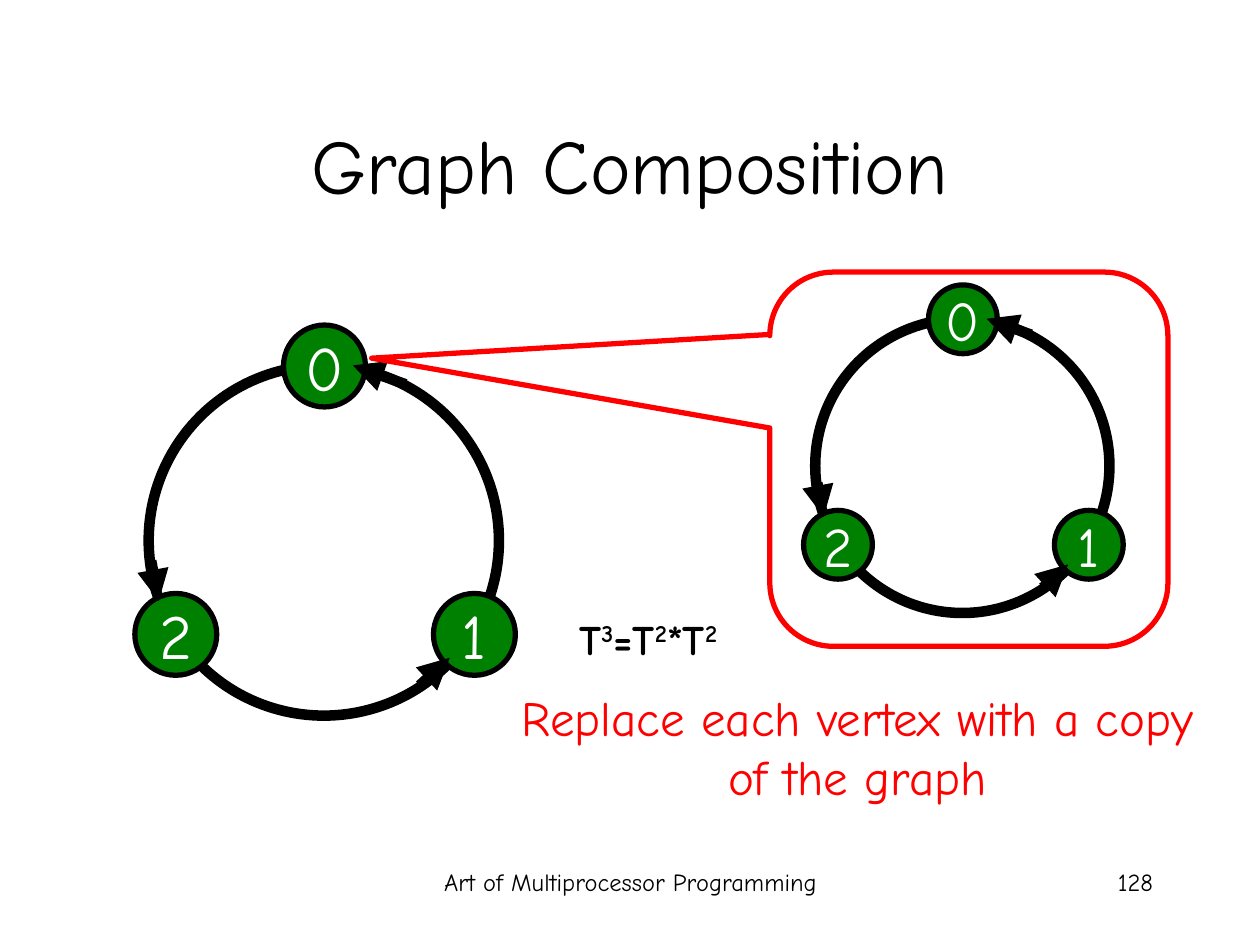
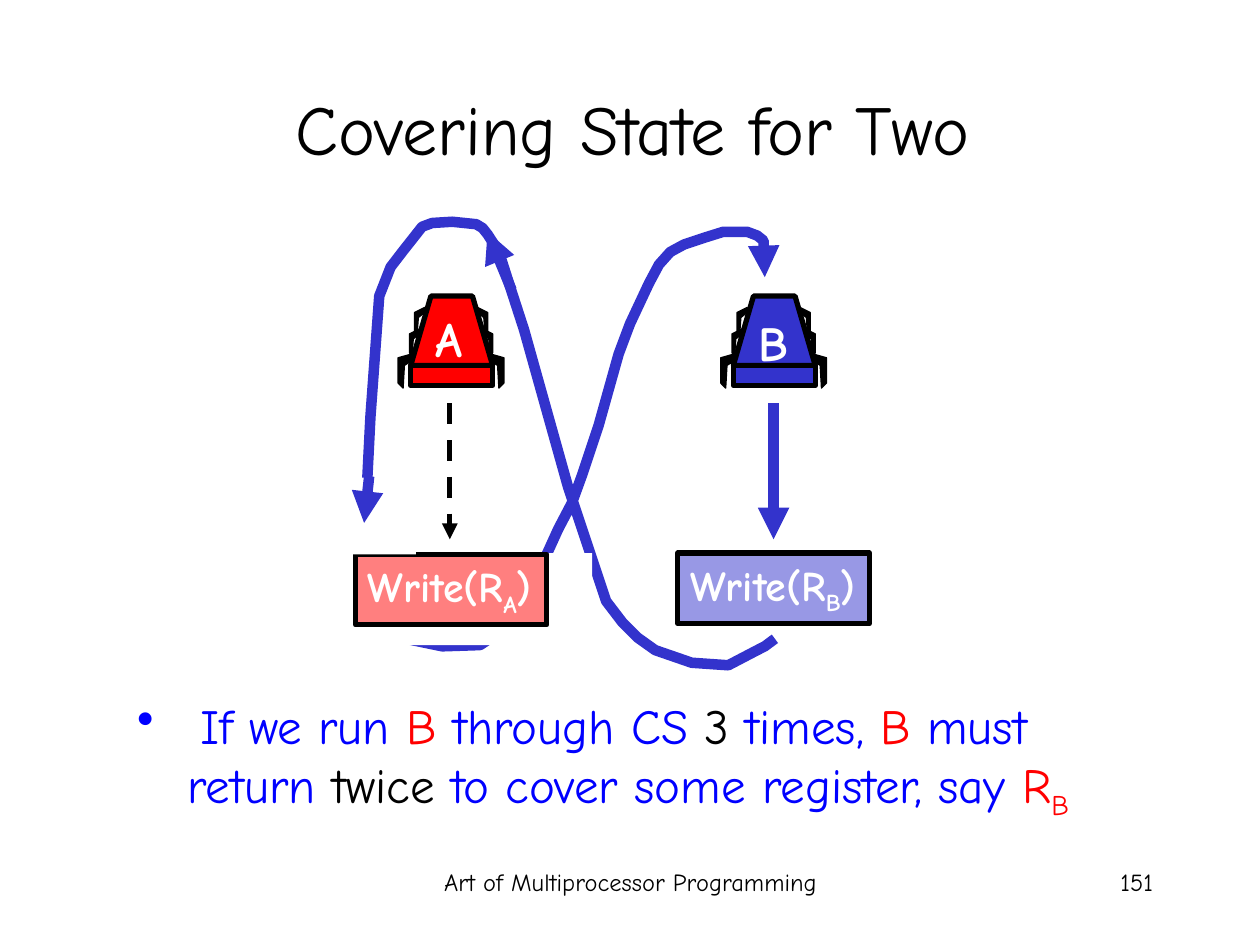
from dataclasses import dataclass

from pptx import Presentation
from pptx.dml.color import RGBColor
from pptx.enum.dml import MSO_LINE
from pptx.enum.shapes import MSO_CONNECTOR, MSO_SHAPE
from pptx.enum.text import MSO_ANCHOR, PP_ALIGN
from pptx.oxml.ns import qn
from pptx.util import Inches, Pt
from lxml.etree import SubElement


@dataclass(frozen=True)
class Theme:
    """Colours, font, type sizes and line widths of the deck."""
    font: str = "Comic Neue"
    black: str = "000000"
    white: str = "FFFFFF"
    red: str = "FF0000"
    blue: str = "0000FF"
    indigo: str = "3333CC"
    green: str = "008000"
    body: int = 28
    label: int = 24
    footer: int = 14
    hairline: float = 0.75
    outline: int = 3
    heavy: int = 6


THEME = Theme()
FOOTER = "Art of Multiprocessor Programming"

RING_NODES = [("0", 1.07, -0.32), ("1", 2.26, 1.81), ("2", -0.11, 1.81)]
RING_ARROWS = [(0.02, 1.55, 0.08, 1.87), (2.15, 2.54, 2.39, 2.32), (2.04, 0.15, 1.62, 0)]

SMALL_LEG = [(0, 0), (0.08, 0.04), (0.08, 0.19), (0.06, 0.22), (0.05, 0.08), (0, 0.04)]
LARGE_LEG = [(0, 0), (0.14, 0.04), (0.14, 0.24), (0.1, 0.28), (0.09, 0.1), (0.01, 0.05)]
LEGS = [(0.28, 0.45, LARGE_LEG), (0.25, 0.26, SMALL_LEG), (0.21, 0.09, SMALL_LEG)]

THREAD_B_ROUTE = [
    (6.15, 5.07), (6.07, 5.13), (6.01, 5.16), (5.78, 5.28), (5.49, 5.26), (5.2, 5.16),
    (5.06, 5.06), (4.94, 4.94), (4.81, 4.77), (4.51, 3.87), (4.16, 2.62), (4.04, 2.25),
    (3.96, 2), (3.87, 1.86), (3.83, 1.81), (3.78, 1.78), (3.59, 1.76), (3.43, 1.77),
    (3.35, 1.8), (3.2, 1.99), (3.1, 2.12), (3.01, 2.35), (2.94, 3.31), (2.9, 4.1),
    (2.91, 4.64), (3, 4.94), (3.22, 5.07), (3.51, 5.13), (3.81, 5.12), (3.99, 5),
    (4.23, 4.63), (4.28, 4.51), (4.33, 4.42), (4.43, 4.2), (4.54, 3.99), (4.62, 3.77),
    (4.75, 3.38), (4.91, 2.81), (5, 2.57), (5.15, 2.25), (5.23, 2.1), (5.32, 2),
    (5.43, 1.94), (5.58, 1.89), (5.74, 1.84), (5.93, 1.84), (6.01, 1.87), (6.06, 1.91),
    (6.07, 2.2),
]


def rgb(colour):
    """Turn a hex string into a colour."""
    return RGBColor.from_string(colour)


def box(left, top, width, height):
    """Return a place and size in slide units."""
    return [Inches(value) for value in (left, top, width, height)]


def style_line(line, colour, width, arrow=False):
    """Colour a line and optionally end it with an arrowhead."""
    line.color.rgb = rgb(colour)
    line.width = Pt(width)
    if arrow:
        SubElement(line._get_or_add_ln(), qn("a:tailEnd"), type="triangle")


def paint(shape, fill=None, line=None, width=THEME.outline, alpha=None):
    """Set the fill, outline and lack of shadow of a shape."""
    shape.shadow.inherit = False
    if fill:
        shape.fill.solid()
        shape.fill.fore_color.rgb = rgb(fill)
    else:
        shape.fill.background()
    if alpha:
        colour = shape.fill._xPr.find(f"{qn('a:solidFill')}/{qn('a:srgbClr')}")
        SubElement(colour, qn("a:alpha"), val=str(alpha * 1000))
    if line:
        style_line(shape.line, line, width)
    else:
        shape.line.fill.background()


def add_runs(paragraph, runs, size, bold=False):
    """Add (text, colour, baseline percent) runs to a paragraph."""
    for text, colour, baseline in runs:
        run = paragraph.add_run()
        run.text = text
        font = run.font
        font.name, font.size, font.bold = THEME.font, Pt(size), bold
        font.color.rgb = rgb(colour)
        if baseline:
            font._element.set("baseline", str(baseline * 1000))


def write(shape, runs, size, align=PP_ALIGN.CENTER, anchor=MSO_ANCHOR.TOP, bold=False, wrap=True):
    """Write one paragraph into a shape."""
    frame = shape.text_frame
    frame.word_wrap = wrap
    frame.vertical_anchor = anchor
    paragraph = frame.paragraphs[0]
    paragraph.alignment = align
    add_runs(paragraph, runs, size, bold)


def add_text(slide, place, runs, size, **options):
    """Add a text box holding one paragraph."""
    write(slide.shapes.add_textbox(*box(*place)), runs, size, **options)


def add_preset(slide, kind, place, **look):
    """Add a painted preset shape."""
    shape = slide.shapes.add_shape(kind, *box(*place))
    paint(shape, **look)
    return shape


def add_outline(slide, points, close=True, **look):
    """Add a freeform through points given in inches."""
    start, *rest = [(Inches(x), Inches(y)) for x, y in points]
    builder = slide.shapes.build_freeform(*start)
    builder.add_line_segments(rest, close=close)
    shape = builder.convert_to_shape()
    paint(shape, **look)
    return shape


def add_arrow(slide, ends, colour, width=THEME.heavy, dash=None):
    """Add a straight arrow between two points."""
    connector = slide.shapes.add_connector(MSO_CONNECTOR.STRAIGHT, *box(*ends))
    if dash:
        connector.line.dash_style = dash
    style_line(connector.line, colour, width, arrow=True)
    SubElement(connector._element.spPr, qn("a:effectLst"))


def add_frame(presentation, title, title_place, title_size, number):
    """Add a blank slide with title, footer and slide number."""
    slide = presentation.slides.add_slide(presentation.slide_layouts[6])
    add_text(slide, (3.42, 6.83, 3.17, 0.5), [(FOOTER, THEME.black, 0)], THEME.footer)
    add_text(slide, (7.17, 6.83, 2.08, 0.5), [(number, THEME.black, 0)], THEME.footer,
             align=PP_ALIGN.RIGHT)
    add_text(slide, (*title_place, 8.5, 1.25), [(title, THEME.black, 0)], title_size,
             anchor=MSO_ANCHOR.MIDDLE)
    return slide


def add_ring(slide, left, top, scale, size):
    """Add a cycle of three numbered vertices."""
    def at(x, y):
        return left + x * scale, top + y * scale

    diameter = 2.78 * scale
    add_preset(slide, MSO_SHAPE.OVAL, (left, top, diameter, diameter),
               line=THEME.black, width=THEME.heavy)
    for number, x, y in RING_NODES:
        node = add_preset(slide, MSO_SHAPE.OVAL, (*at(x, y), 0.65 * scale, 0.65 * scale),
                          fill=THEME.green, line=THEME.black)
        write(node, [(number, THEME.white, 0)], size, anchor=MSO_ANCHOR.MIDDLE, wrap=False)
    for x1, y1, x2, y2 in RING_ARROWS:
        add_arrow(slide, (*at(x1, y1), *at(x2, y2)), THEME.black)


def add_thread(slide, name, centre, top, colour, label_place):
    """Add a six-legged thread figure with its letter."""
    for x, y, leg in LEGS:
        for side in (1, -1):
            points = [(centre + side * (x + dx), top + y + dy) for dx, dy in leg]
            add_outline(slide, points, fill=THEME.black, line=THEME.black, width=THEME.hairline)
    body = [(-0.32, 0.55), (-0.16, 0), (0.17, 0), (0.33, 0.55)]
    add_outline(slide, [(centre + dx, top + dy) for dx, dy in body], fill=colour, line=THEME.black)
    add_preset(slide, MSO_SHAPE.RECTANGLE, (centre - 0.32, top + 0.55, 0.65, 0.16),
               fill=colour, line=THEME.black)
    add_text(slide, label_place, [(name, THEME.white, 0)], THEME.body, bold=True, wrap=False)


def add_write_box(slide, name, left, top, colour):
    """Add a half-transparent box with a pending register write."""
    shape = add_preset(slide, MSO_SHAPE.RECTANGLE, (left, top, 1.52, 0.56),
                       fill=colour, line=THEME.black, alpha=50)
    runs = [("Write(R", THEME.white, 0), (name, THEME.white, -25), (")", THEME.white, 0)]
    write(shape, runs, THEME.label, align=PP_ALIGN.LEFT, bold=True, wrap=False)


def add_covering_claim(slide):
    """Add the bulleted claim and its continuation line."""
    frame = slide.shapes.add_textbox(*box(0.99, 5.47, 7.67, 1.1)).text_frame
    frame.word_wrap = True
    first, second = frame.paragraphs[0], frame.add_paragraph()
    for paragraph, margin, indent in ((first, 0.5, -0.5), (second, 0.4, 0)):
        properties = paragraph._p.get_or_add_pPr()
        properties.set("marL", str(Inches(margin)))
        properties.set("indent", str(Inches(indent)))
    properties = first._p.get_or_add_pPr()
    SubElement(SubElement(properties, qn("a:buClr")), qn("a:srgbClr"), val=THEME.blue)
    SubElement(properties, qn("a:buChar"), char="•")
    add_runs(first, [
        ("If we run ", THEME.blue, 0), ("B", THEME.red, 0), (" through CS ", THEME.blue, 0),
        ("3", THEME.black, 0), (" times, ", THEME.blue, 0), ("B", THEME.red, 0),
        (" must", THEME.blue, 0)], THEME.body)
    add_runs(second, [
        ("return ", THEME.blue, 0), ("twice", THEME.black, 0),
        (" to cover some register, say ", THEME.blue, 0),
        ("R", THEME.red, 0), ("B", THEME.red, -25)], THEME.body)


def build_graph_composition(presentation):
    """Build the slide that replaces a vertex by the graph."""
    slide = add_frame(presentation, "Graph Composition", (0.75, 0.67), 44, "128")
    add_ring(slide, 1.18, 2.9, 1, 36)
    add_ring(slide, 6.47, 2.53, 0.84, 32)
    callout = add_preset(slide, MSO_SHAPE.ROUNDED_RECTANGULAR_CALLOUT,
                         (6.11, 2.16, 3.16, 2.97), line=THEME.red)
    for index, value in enumerate((-1.5, -0.27, 0.17)):
        callout.adjustments[index] = value
    add_text(slide, (3.96, 5.41, 5.69, 1.04),
             [("Replace each vertex with a copy of the graph", THEME.red, 0)], THEME.body)
    formula = [(text, THEME.black, baseline) for text, baseline in
               (("T", 0), ("3", 30), ("=T", 0), ("2", 30), ("*T", 0), ("2", 30))]
    add_text(slide, (4.5, 4.82, 1.29, 0.5), formula, THEME.label,
             align=PP_ALIGN.LEFT, bold=True, wrap=False)


def build_covering_state(presentation):
    """Build the slide that runs thread B over two registers."""
    slide = add_frame(presentation, "Covering State for Two", (0.77, 0.39), 40, "151")
    route = add_outline(slide, THREAD_B_ROUTE, close=False)
    style_line(route.line, THEME.indigo, THEME.heavy, arrow=True)
    add_covering_claim(slide)
    add_preset(slide, MSO_SHAPE.RECTANGLE, (2.83, 4.39, 1.87, 0.73), fill=THEME.white)
    add_arrow(slide, (4.06, 2.3, 3.87, 1.84), THEME.indigo)
    add_write_box(slide, "B", 5.38, 4.39, THEME.indigo)
    add_thread(slide, "B", 6.14, 2.35, THEME.indigo, (5.92, 2.43, 0.44, 0.57))
    add_write_box(slide, "A", 2.82, 4.4, THEME.red)
    add_arrow(slide, (3.57, 3.2, 3.57, 4.28), THEME.black, THEME.outline, MSO_LINE.DASH)
    add_thread(slide, "A", 3.58, 2.35, THEME.red, (3.36, 2.4, 0.41, 0.57))
    add_arrow(slide, (6.14, 3.2, 6.14, 4.28), THEME.indigo)
    add_preset(slide, MSO_SHAPE.RECTANGLE, (2.48, 3.79, 0.82, 0.61), fill=THEME.white)
    add_arrow(slide, (2.93, 3.78, 2.89, 4.15), THEME.indigo)


def main():
    """Build and save the presentation."""
    presentation = Presentation()
    presentation.slide_width, presentation.slide_height = Inches(10), Inches(7.5)
    build_graph_composition(presentation)
    build_covering_state(presentation)
    presentation.save("out.pptx")


if __name__ == "__main__":
    main()
